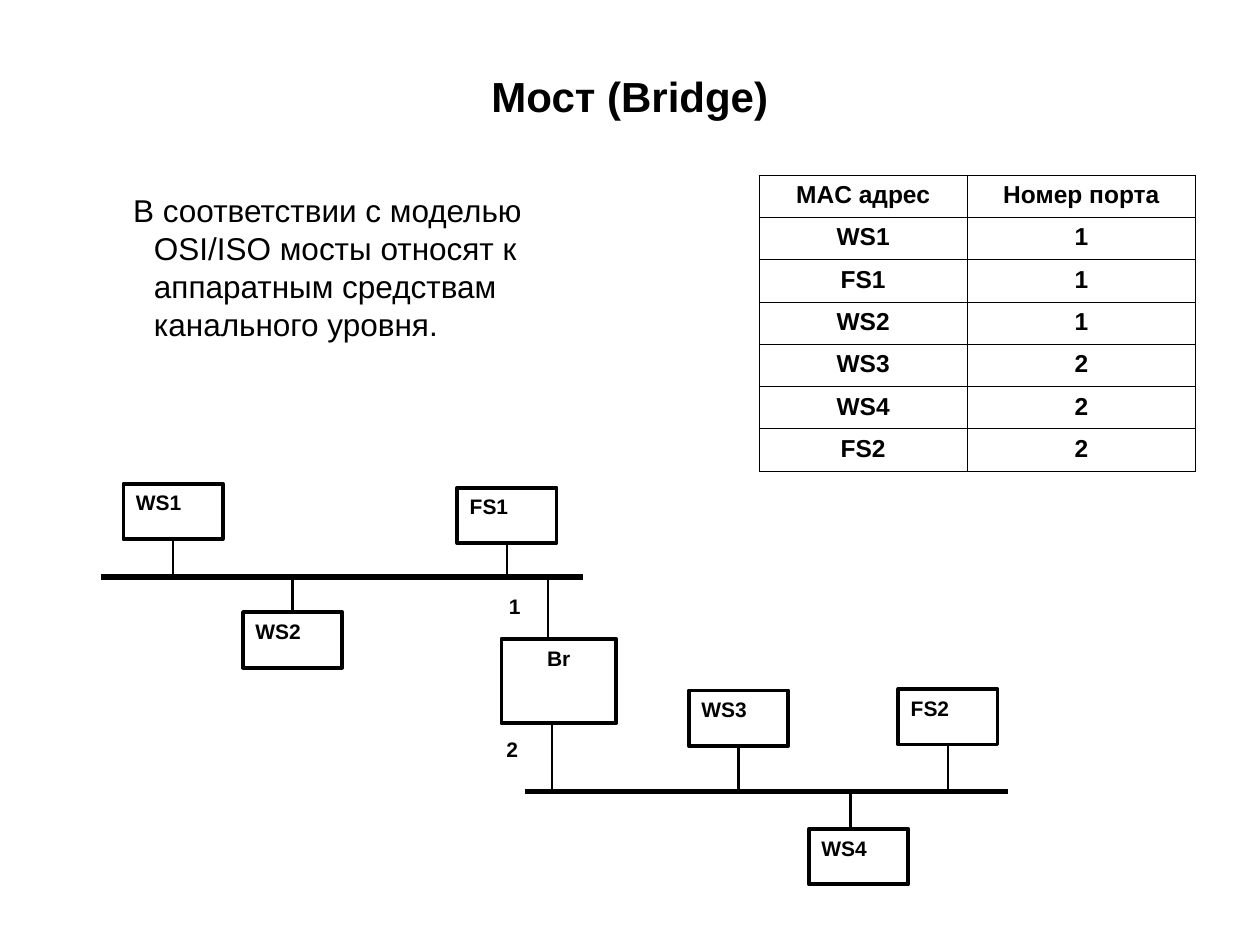
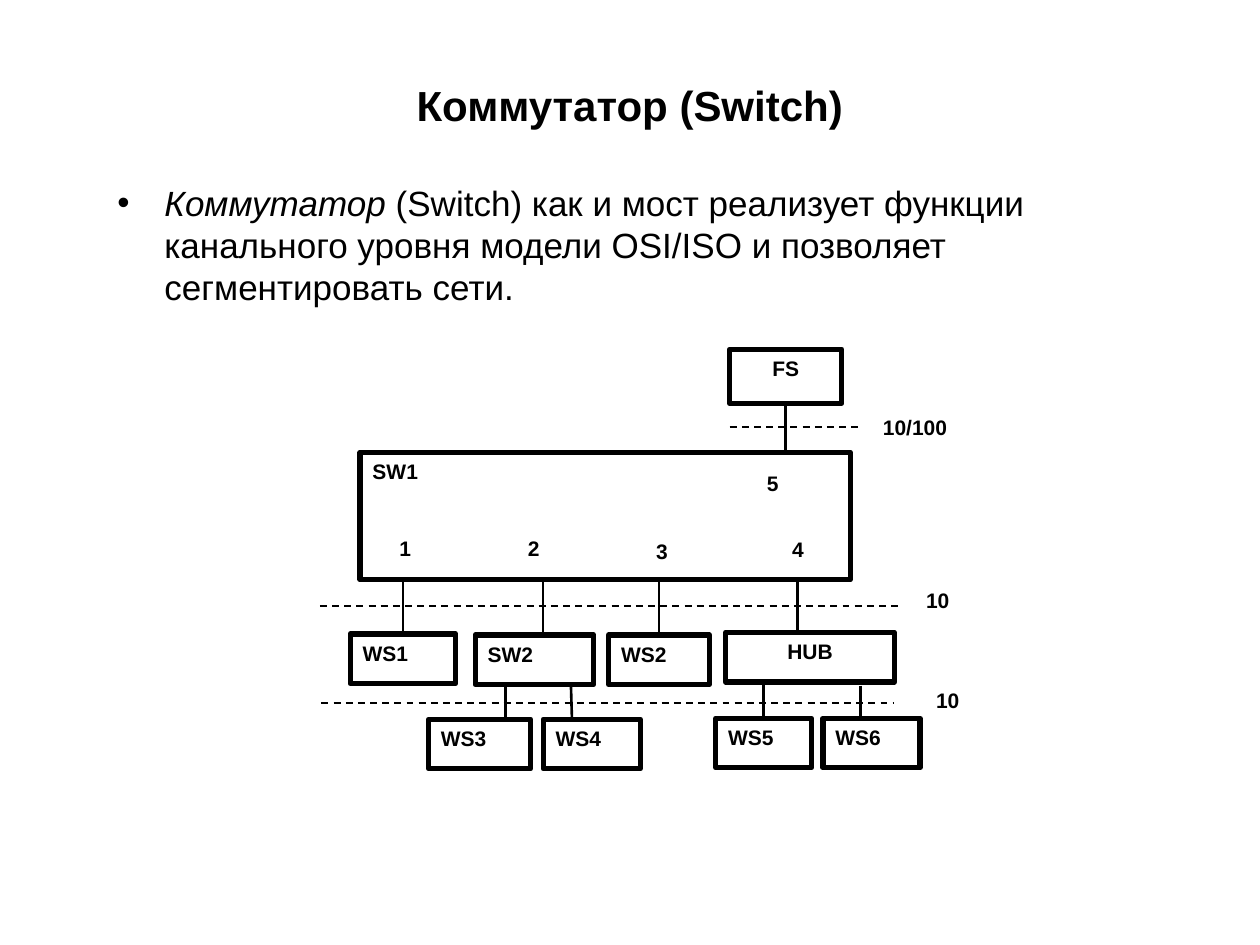
from dataclasses import dataclass

from pptx import Presentation
from pptx.dml.color import RGBColor
from pptx.enum.dml import MSO_LINE
from pptx.enum.shapes import MSO_CONNECTOR, MSO_SHAPE
from pptx.enum.text import MSO_ANCHOR as Anchor, MSO_AUTO_SIZE, PP_ALIGN as Align
from pptx.oxml import parse_xml
from pptx.oxml.ns import nsdecls
from pptx.oxml.xmlchemy import OxmlElement
from pptx.util import Cm, Pt


@dataclass(frozen=True)
class Theme:
    font: str = "Arial"
    ink: RGBColor = RGBColor(0, 0, 0)
    paper: RGBColor = RGBColor(255, 255, 255)
    title: int = 24
    table: int = 14
    label: int = 12
    bus: float = 3
    link: float = 1.5
    boundary: float = 1
    grid: float = 0.45


THEME = Theme()
TOP, BOTTOM = 0, 2


def write(frame, text, size=THEME.label, bold=True, italic=False,
          align=Align.LEFT, anchor=Anchor.TOP):
    frame.word_wrap = True
    frame.vertical_anchor = anchor
    paragraph = frame.paragraphs[0]
    paragraph.alignment = align
    paragraph.space_before = Pt(0)
    run = paragraph.add_run()
    run.text = text
    font = run.font
    font.name, font.size = THEME.font, Pt(size)
    font.bold, font.italic = bold, italic
    font.color.rgb = THEME.ink


def draw_line(shapes, x1, y1, x2, y2, weight=THEME.link, dash=None):
    line = shapes.add_connector(MSO_CONNECTOR.STRAIGHT, x1, y1, x2, y2)
    line.line.color.rgb = THEME.ink
    line.line.width = Pt(weight)
    if dash:
        line.line.dash_style = dash
    line._element.spPr.append(OxmlElement("a:effectLst"))
    return line


bridge = dict(
    title="Мост (Bridge)",
    title_at=(1.9, 1.12, 21.59, 1.63),
    body=[("В соответствии с моделью OSI/ISO мосты относят к "
           "аппаратным средствам канального уровня.", False)],
    body_at=(1.9, 3.73, 9.4, 4.19),
    body_size=18,
    first_line=-0.42,
    bulleted=False,
    outline=2.25,
    centred=["Br"],
    nodes={
        "Br": (10.11, 12.88, 2.31, 1.7),
        "WS1": (2.49, 9.75, 2, 1.12),
        "WS2": (4.9, 12.34, 2, 1.12),
        "FS1": (9.22, 9.83, 2, 1.12),
        "WS3": (13.89, 13.92, 2, 1.12),
        "WS4": (16.31, 16.71, 2, 1.12),
        "FS2": (18.11, 13.89, 2, 1.12),
    },
    buses=[(2.03, 11.76, 11.63), (10.59, 20.32, 15.95)],
    boundaries=[],
    joined=[("WS1", BOTTOM, 11.6), ("WS2", TOP, 11.6), ("FS1", BOTTOM, 11.6),
            ("WS3", BOTTOM, 15.93), ("FS2", BOTTOM, 15.93)],
    free=[(11.05, 11.63, 11.05, 12.9), (11.13, 14.6, 11.13, 15.93),
          (17.15, 15.95, 17.15, 16.71)],
    labels=[("1", 10.01, 11.84, 0.81, 0.99), ("2", 9.96, 14.73, 0.81, 0.99)],
)

switch = dict(
    title="Коммутатор (Switch)",
    title_at=(1.9, 1.32, 21.59, 1.6),
    body=[("Коммутатор ", True),
          ("(Switch) как и мост реализует функции канального уровня "
           "модели OSI/ISO и позволяет сегментировать сети.", False)],
    body_at=(2.11, 3.53, 21.59, 12.62),
    body_size=20,
    first_line=-0.95,
    bulleted=True,
    outline=3,
    centred=["FS", "HUB"],
    nodes={
        "SW1": (7.26, 9.12, 9.88, 2.57),
        "FS": (14.71, 7.04, 2.26, 1.09),
        "WS1": (7.06, 12.78, 2.13, 1),
        "SW2": (9.58, 12.8, 2.39, 1),
        "WS2": (12.27, 12.8, 2.03, 1),
        "WS5": (14.43, 14.48, 1.93, 1),
        "WS6": (16.59, 14.48, 1.96, 1),
        "HUB": (14.63, 12.75, 3.4, 1),
        "WS3": (8.64, 14.5, 2.06, 1),
        "WS4": (10.95, 14.5, 1.96, 1),
    },
    buses=[],
    boundaries=[(6.45, 18.14, 12.22), (6.48, 18.03, 14.17), (14.71, 17.3, 8.61)],
    joined=[("FS", BOTTOM, 9.12), ("WS1", TOP, 11.7), ("WS2", TOP, 11.7),
            ("WS5", TOP, 13.75)],
    free=[(10.95, 11.69, 10.95, 12.78), (16.08, 11.7, 16.08, 12.72),
          (10.19, 13.77, 10.19, 14.48), (11.51, 13.84, 11.53, 14.5),
          (17.35, 13.82, 17.35, 14.48)],
    labels=[("10/100", 17.55, 8.23, 2.26, 0.99), ("10", 18.42, 11.71, 1.32, 0.99),
            ("10", 18.62, 13.74, 1.32, 0.99), ("1", 7.8, 10.67, 0.58, 0.86),
            ("2", 10.39, 10.67, 0.71, 0.81), ("3", 12.98, 10.74, 0.71, 0.84),
            ("4", 15.72, 10.69, 0.76, 0.81), ("5", 15.21, 9.37, 0.76, 0.89)],
)

deck = Presentation()
deck.slide_width, deck.slide_height = Cm(25.4), Cm(19.05)

for topic in (bridge, switch):
    slide = deck.slides.add_slide(deck.slide_layouts[1])
    shapes = slide.shapes

    heading, body = shapes.title, slide.placeholders[1]
    for holder, place in ((heading, topic["title_at"]), (body, topic["body_at"])):
        holder.left, holder.top, holder.width, holder.height = map(Cm, place)
        holder.text_frame.auto_size = MSO_AUTO_SIZE.NONE
    write(heading.text_frame, topic["title"], size=THEME.title,
          align=Align.CENTER, anchor=Anchor.MIDDLE)

    indents = body.text_frame.paragraphs[0]._p.get_or_add_pPr()
    indents.set("marL", str(Cm(0.95)))
    indents.set("indent", str(Cm(topic["first_line"])))
    if not topic["bulleted"]:
        indents.append(OxmlElement("a:buNone"))
    for text, italic in topic["body"]:
        write(body.text_frame, text, size=topic["body_size"], bold=False, italic=italic)

    for left, right, y in topic["buses"]:
        draw_line(shapes, Cm(left), Cm(y), Cm(right), Cm(y), THEME.bus)

    stations = {}
    captions = [(name, *place, True) for name, place in topic["nodes"].items()]
    captions += [(*label, False) for label in topic["labels"]]
    for text, left, top, width, height, is_station in captions:
        box = shapes.add_shape(MSO_SHAPE.RECTANGLE, Cm(left), Cm(top), Cm(width), Cm(height))
        box.shadow.inherit = False
        box.fill.solid()
        box.fill.fore_color.rgb = THEME.paper
        if is_station:
            box.line.color.rgb = THEME.ink
            box.line.width = Pt(topic["outline"])
            stations[text] = box
        else:
            box.line.fill.background()
        write(box.text_frame, text,
              align=Align.CENTER if text in topic["centred"] else Align.LEFT)

    for name, side, reach in topic["joined"]:
        station = stations[name]
        x = station.left + station.width // 2
        edge = station.top + (station.height if side == BOTTOM else 0)
        draw_line(shapes, x, edge, x, Cm(reach)).begin_connect(station, side)
    for ends in topic["free"]:
        draw_line(shapes, *map(Cm, ends))
    for left, right, y in topic["boundaries"]:
        draw_line(shapes, Cm(left), Cm(y), Cm(right), Cm(y),
                  THEME.boundary, MSO_LINE.DASH)

port_rows = [("MAC адрес", "Номер порта"), ("WS1", "1"), ("FS1", "1"), ("WS2", "1"),
             ("WS3", "2"), ("WS4", "2"), ("FS2", "2")]
ports = deck.slides[0].shapes.add_table(
    len(port_rows), 2, Cm(15.3), Cm(3.53), Cm(8.8), Cm(5.97)).table
ports.first_row = ports.horz_banding = False
ports.columns[0].width, ports.columns[1].width = Cm(4.2), Cm(4.6)
for r, port_row in enumerate(port_rows):
    for c, text in enumerate(port_row):
        cell = ports.cell(r, c)
        borders = cell._tc.get_or_add_tcPr()
        for side in "LRTB":
            borders.append(parse_xml(
                f'<a:ln{side} {nsdecls("a")} w="{Pt(THEME.grid)}"><a:solidFill>'
                f'<a:srgbClr val="{THEME.ink}"/></a:solidFill></a:ln{side}>'))
        cell.fill.solid()
        cell.fill.fore_color.rgb = THEME.paper
        write(cell.text_frame, text, size=THEME.table, align=Align.CENTER)

deck.save("out.pptx")
